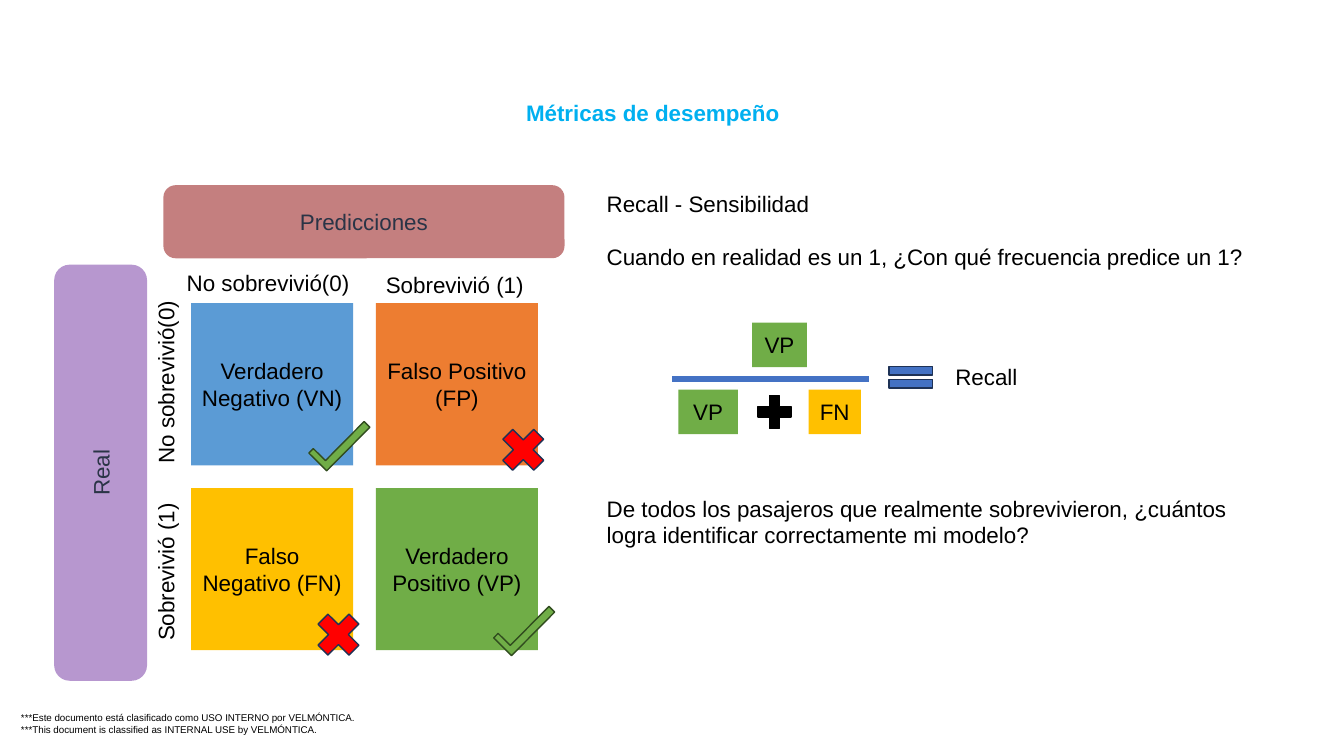
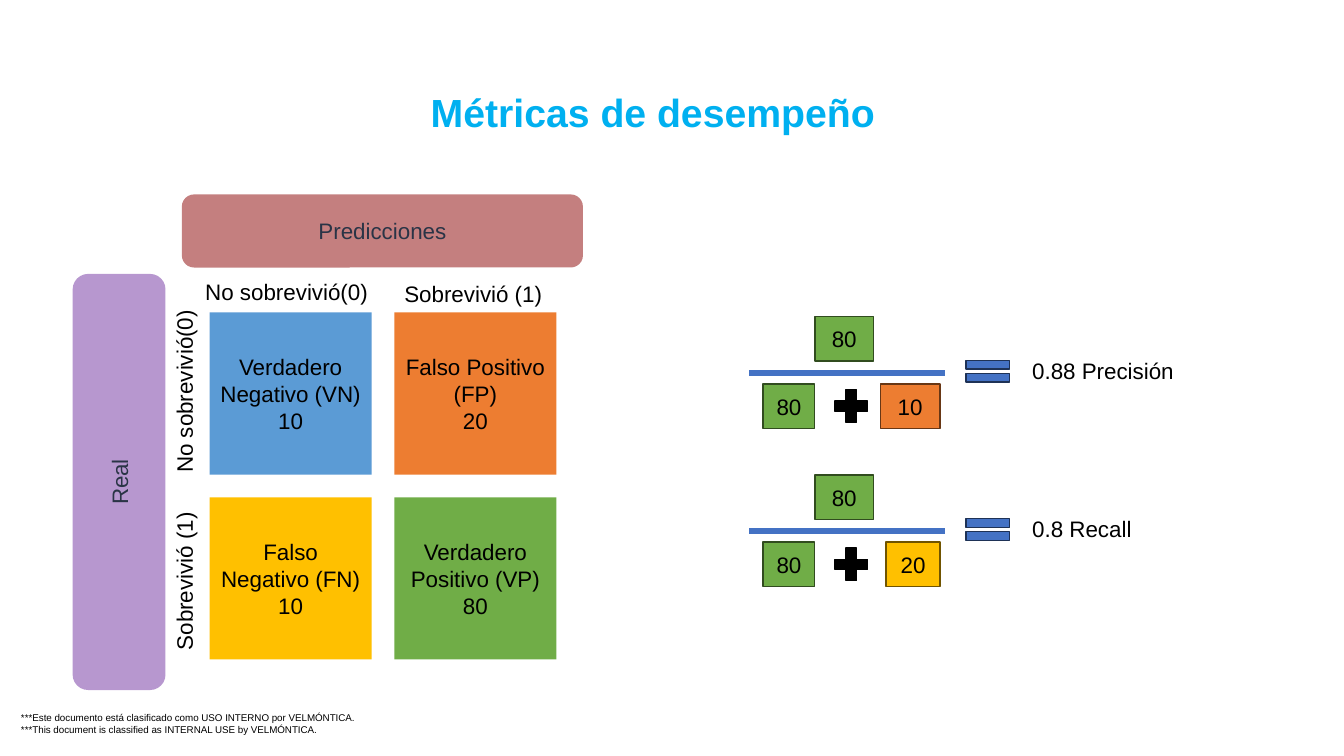
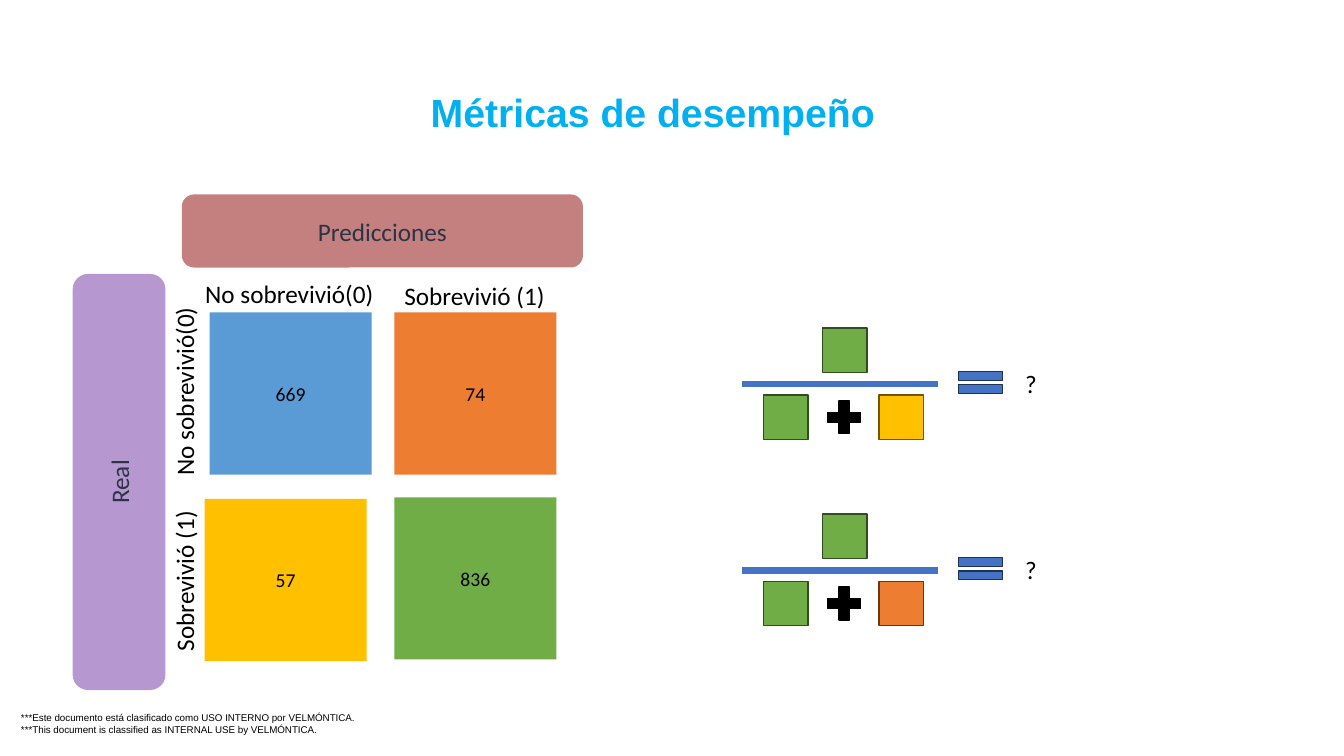
from dataclasses import dataclass

from pptx import Presentation
from pptx.dml import color
from pptx.enum import shapes, text
from pptx.oxml import ns
from pptx import util as u
from lxml import etree


@dataclass(frozen=True)
class Theme:
    black: str = "000000"
    title: str = "00B0F0"
    accent: str = "4472C4"
    accent_edge: str = "1E3256"
    header: str = "8A0000"
    side: str = "7030A0"
    header_ink: str = "2A3446"
    blue: str = "5B9BD5"
    orange: str = "ED7D31"
    orange_edge: str = "683715"
    yellow: str = "FFC000"
    yellow_edge: str = "705400"
    green: str = "70AD47"
    green_edge: str = "314C1F"
    wrong: str = "FF0000"
    face: str = "Arial"
    alt_face: str = "Calibri"
    body: int = 16
    alt_body: int = 18
    alt_number: int = 14
    big_title: int = 28
    small: int = 7


THEME = Theme()
EDGES = {
    THEME.green: THEME.green_edge,
    THEME.orange: THEME.orange_edge,
    THEME.yellow: THEME.yellow_edge,
}
KIND = shapes.MSO_SHAPE
CENTER = text.PP_ALIGN.CENTER
LEFT = text.PP_ALIGN.LEFT
MIDDLE = text.MSO_ANCHOR.MIDDLE
TOP = text.MSO_ANCHOR.TOP
COLUMNS, ROWS = 160, 90
CELL, PITCH = 19.3, 22
TICK = ((0, 0), (0.76, 0), (0.76, 2.04), (7.3, 2.04), (7.3, 3), (0, 3))


def rgb(value):
    return color.RGBColor.from_string(value)


def write(frame, lines, size=THEME.body, face=THEME.face, ink=THEME.black,
          bold=False, align=LEFT, anchor=TOP, wrap=True, margin=None, gap=0):
    frame.word_wrap = wrap
    frame.auto_size = text.MSO_AUTO_SIZE.NONE
    frame.vertical_anchor = anchor
    if margin is not None:
        frame.margin_left = frame.margin_right = margin
        frame.margin_top = frame.margin_bottom = margin
    for index, line in enumerate(lines):
        para = frame.add_paragraph() if index else frame.paragraphs[0]
        para.alignment = align
        if index and gap:
            para.space_before = u.Pt(gap)
        span = para.add_run()
        span.text = line
        span.font.size = u.Pt(size)
        span.font.name = face
        span.font.bold = bold
        span.font.color.rgb = rgb(ink)


def paint(box, fill, edge=None, alpha=None):
    box.shadow.inherit = False
    box.fill.solid()
    box.fill.fore_color.rgb = rgb(fill)
    if alpha:
        tint = box.element.spPr.find(".//" + ns.qn("a:srgbClr"))
        etree.SubElement(tint, ns.qn("a:alpha")).set("val", str(alpha * 1000))
    if edge:
        box.line.color.rgb = rgb(edge)
        box.line.width = u.Pt(1)
    else:
        box.line.fill.background()


class Slides:
    def __init__(self):
        self.deck = Presentation()
        self.deck.slide_width = u.Inches(13.33)
        self.deck.slide_height = u.Inches(7.5)
        self.layout = self.deck.slide_layouts[5]
        holder = self.layout.placeholders[0]
        holder.left, holder.top, holder.width, holder.height = self.area(39.6, 10, 76.2, 6.7)
        self.page = None

    def area(self, x, y, width, height):
        column = self.deck.slide_width / COLUMNS
        row = self.deck.slide_height / ROWS
        return [round(n * unit) for n, unit in
                ((x, column), (y, row), (width, column), (height, row))]

    def start(self, title, size):
        self.page = self.deck.slides.add_slide(self.layout)
        write(self.page.shapes.title.text_frame, [title], size=size,
              ink=THEME.title, bold=True, align=CENTER, anchor=MIDDLE)

    def footer(self, lines):
        box = self.label(2.5, 84.7, 40, 2.8, lines, size=THEME.small, margin=0)
        self.deck.slide_master.shapes.element.append(box.element)

    def place(self, add, x, y, width, height, sideways):
        if sideways:
            x, y = x + (width - height) / 2, y + (height - width) / 2
            width, height = height, width
        box = add(*self.area(x, y, width, height))
        if sideways:
            box.rotation = 270
        return box

    def label(self, x, y, width, height, lines, sideways=False, **style):
        box = self.place(self.page.shapes.add_textbox, x, y, width, height, sideways)
        write(box.text_frame, lines, **style)
        return box

    def shape(self, kind, x, y, width, height, fill, edge=None, alpha=None,
              lines=(), sideways=False, **style):
        def add(*area):
            return self.page.shapes.add_shape(kind, *area)

        box = self.place(add, x, y, width, height, sideways)
        paint(box, fill, edge, alpha)
        if lines:
            write(box.text_frame, lines, align=CENTER, anchor=MIDDLE, **style)

    def bar(self, x, y, length):
        left, top, width, _ = self.area(x, y, length, 0)
        line = self.page.shapes.add_connector(
            shapes.MSO_CONNECTOR.STRAIGHT, left, top, left + width, top)
        line.line.color.rgb = rgb(THEME.accent)
        line.line.width = u.Pt(4.5)
        etree.SubElement(line.element.spPr, ns.qn("a:effectLst"))

    def tick(self, x, y):
        points = [tuple(self.area(x + dx, y + dy, 0, 0)[:2]) for dx, dy in TICK]
        outline = self.page.shapes.build_freeform(*points[0])
        outline.add_line_segments(points[1:], close=True)
        box = outline.convert_to_shape()
        paint(box, THEME.green, THEME.green_edge)
        box.rotation = 314.7

    def cross(self, x, y):
        self.shape(KIND.MATH_MULTIPLY, x, y, 7.1, 7.1, THEME.wrong, THEME.accent_edge)

    def matrix(self, x, y, cells, face=THEME.face, size=THEME.body,
               cell_size=THEME.body, marks=False, nudges=None):
        fills = (THEME.blue, THEME.orange, THEME.yellow, THEME.green)
        for index, (lines, fill) in enumerate(zip(cells, fills)):
            row, column = divmod(index, 2)
            shift_x, shift_y = (nudges or {}).get(index, (0, 0))
            left = x + column * PITCH + shift_x
            top = y + row * PITCH + shift_y
            self.shape(KIND.RECTANGLE, left, top, CELL, CELL, fill,
                       lines=lines, size=cell_size, face=face)
            if marks and row == column:
                self.tick(left + 14, top + 14.8)
            elif marks:
                self.cross(left + 14, top + 13.9)
        style = dict(size=size, face=face)
        self.shape(KIND.ROUNDED_RECTANGLE, x - 3.3, y - 14.05, 47.75, 8.7, THEME.header,
                   alpha=50, lines=["Predicciones"], ink=THEME.header_ink, **style)
        self.shape(KIND.ROUNDED_RECTANGLE, x - 16.3, y - 4.6, 11.05, 49.55, THEME.side,
                   alpha=50, lines=["Real"], ink=THEME.header_ink, sideways=True, **style)
        classes = (("No sobrevivió(0)", -1.7, -4.7, 9.4), ("Sobrevivió (1)", 0, -4.4, 10))
        for index, (name, shift, rise, middle) in enumerate(classes):
            step = index * PITCH
            self.label(x + step + shift, y + rise, 23, 4.8, [name], **style)
            self.label(x - 5.45, y + step + middle - 11.5, 4.8, 23, [name],
                       sideways=True, align=CENTER, anchor=MIDDLE, **style)

    def fraction(self, x, y, tokens, result, edged=True, **style):
        heights = (-6.7, 1.3, 1.3)
        for (name, fill, shift, width), rise in zip(tokens, heights):
            self.shape(KIND.RECTANGLE, x + shift, y + rise, width, 5.3, fill,
                       edge=EDGES[fill] if edged else None,
                       lines=[name] if name else (), wrap=False)
        self.bar(x, y, 23.35)
        self.shape(KIND.MATH_PLUS, x + 9.5, y + 1.3, 5.3, 5.3, THEME.black, THEME.black)
        self.shape(KIND.MATH_EQUAL, x + 24.85, y - 2.4, 7.1, 4.4,
                   THEME.accent, THEME.accent_edge)
        self.label(x + 32.5, y - 2.5, 24, 4.8, [result], **style)


def main():
    slides = Slides()
    title = "Métricas de desempeño"
    names = ("Verdadero Negativo (VN)", "Falso Positivo (FP)",
             "Falso Negativo (FN)", "Verdadero Positivo (VP)")
    green, orange, yellow = THEME.green, THEME.orange, THEME.yellow

    slides.start(title, THEME.body)
    slides.footer(["***Este documento está clasificado como USO INTERNO por VELMÓNTICA.",
                   "***This document is classified as INTERNAL USE by VELMÓNTICA."])
    slides.matrix(22.75, 36.1, [[name] for name in names], marks=True)
    slides.label(71.05, 22, 82, 11, [
        "Recall - Sensibilidad",
        "Cuando en realidad es un 1, ¿Con qué frecuencia predice un 1?"], gap=19)
    slides.fraction(80.05, 45.1, (("VP", green, 9.5, 6.5), ("VP", green, 0.7, 7.1),
                                  ("FN", yellow, 16.2, 6.25)), "Recall", edged=False)
    slides.label(71.05, 58.3, 80, 7.7, [
        "De todos los pasajeros que realmente sobrevivieron, "
        "¿cuántos logra identificar correctamente mi modelo?"])

    slides.start(title, THEME.big_title)
    counts = ("10", "20", "10", "80")
    slides.matrix(24.95, 37.2, list(zip(names, counts)))
    true_tokens = (("80", green, 7.8, 7), ("80", green, 1.65, 6.15))
    slides.fraction(89.2, 44.4, true_tokens + (("10", orange, 15.6, 7.1),), "0.88 Precisión")
    slides.fraction(89.2, 63.25, true_tokens + (("20", yellow, 16.3, 6.4),), "0.8 Recall")

    slides.start(title, THEME.big_title)
    slides.matrix(24.95, 37.2, [["669"], ["74"], ["57"], ["836"]],
                  face=THEME.alt_face, size=THEME.alt_body,
                  cell_size=THEME.alt_number, nudges={2: (-0.6, 0.2)})
    for y, fill in ((45.75, yellow), (67.9, orange)):
        tokens = [("", tint, shift, 5.3) for tint, shift in
                  ((green, 9.55), (green, 2.55), (fill, 16.3))]
        slides.fraction(88.35, y, tokens, "?", face=THEME.alt_face, size=THEME.alt_body)

    slides.deck.save("out.pptx")


if __name__ == "__main__":
    main()
